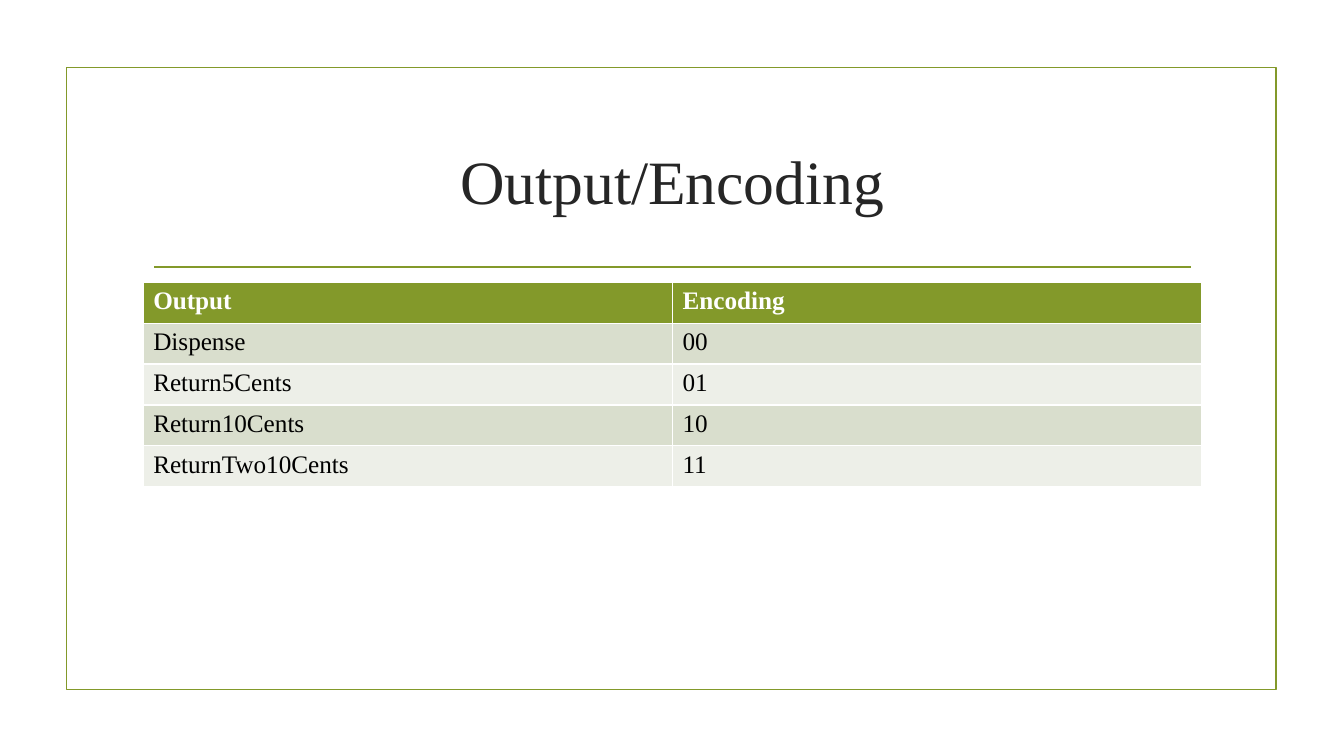
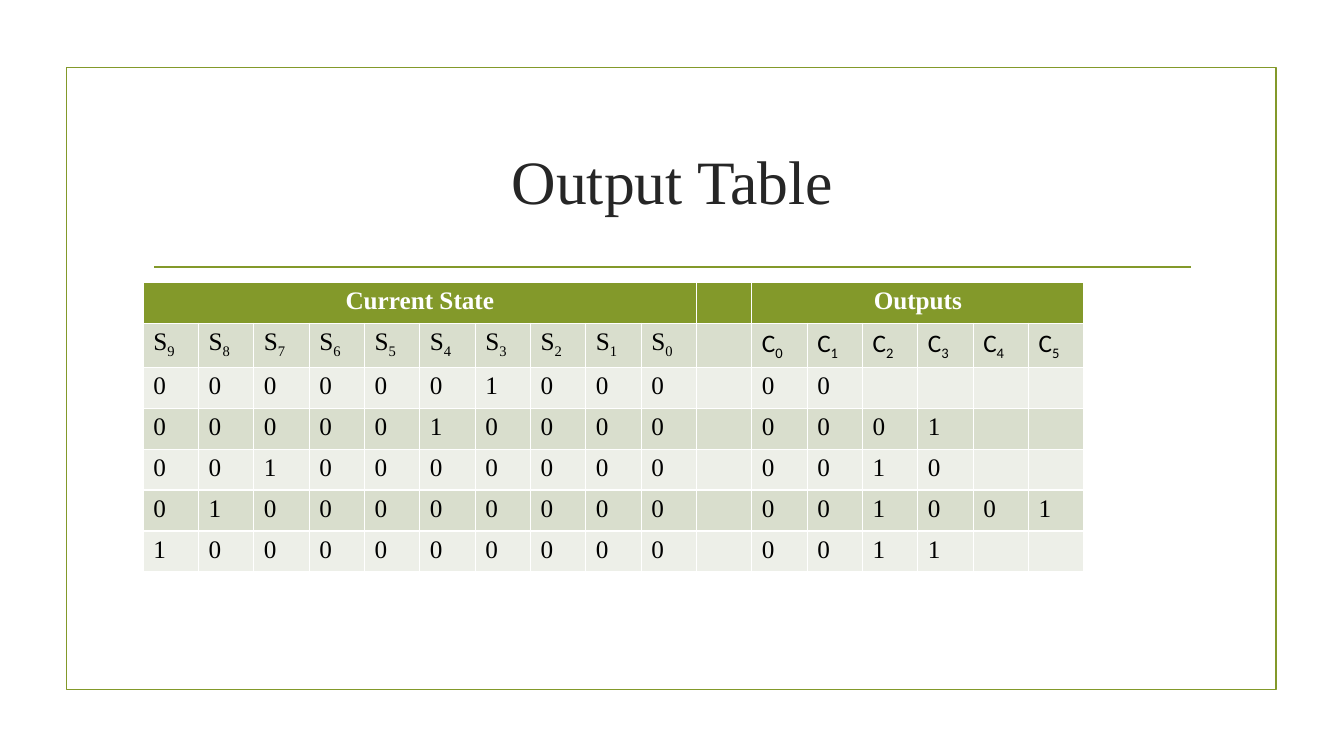
from dataclasses import dataclass

from lxml import etree
from pptx import Presentation
from pptx.dml.color import RGBColor
from pptx.enum.shapes import MSO_CONNECTOR, MSO_SHAPE
from pptx.enum.text import MSO_ANCHOR, PP_ALIGN
from pptx.oxml.ns import qn
from pptx.util import Inches, Pt

LEFT, CENTER = PP_ALIGN.LEFT, PP_ALIGN.CENTER
MIDDLE = MSO_ANCHOR.MIDDLE
RECTANGLE = MSO_SHAPE.RECTANGLE
STRAIGHT = MSO_CONNECTOR.STRAIGHT
TITLE_ONLY = 5

# Content
ENCODING_TITLE = "Output/Encoding"
ENCODING_ROWS = [
    ("Output", "Encoding"),
    ("Dispense", "00"),
    ("Return5Cents", "01"),
    ("Return10Cents", "10"),
    ("ReturnTwo10Cents", "11"),
]

STATE_TITLE = "Output Table"
STATE_COUNT, OUTPUT_COUNT = 10, 6
# Current state bits, then the outputs that are set
STATE_ROWS = [
    ("0000001000", "00"),
    ("0000010000", "0001"),
    ("0010000000", "0010"),
    ("0100000000", "001001"),
    ("1000000000", "0011"),
]


@dataclass(frozen=True)
class Theme:
    green: RGBColor = RGBColor(0x83, 0x99, 0x2A)
    title_ink: RGBColor = RGBColor(0x26, 0x26, 0x26)
    body_ink: RGBColor = RGBColor(0, 0, 0)
    header_ink: RGBColor = RGBColor(0xFF, 0xFF, 0xFF)
    bands: tuple = (RGBColor(0xD9, 0xDE, 0xCD), RGBColor(0xED, 0xEF, 0xE8))
    serif: str = "Times New Roman"
    sans: str = "Calibri"
    title_size: Pt = Pt(44)
    table_size: Pt = Pt(18)
    line_width: Pt = Pt(1.25)


THEME = Theme()
MARGIN, CONTENT_WIDTH = Inches(1.42), Inches(10.5)
TABLE_TOP = Inches(2.8)


def style_font(font, name, size, color, bold=False):
    font.name, font.size, font.bold = name, size, bold
    font.color.rgb = color


def style_line(line):
    line.color.rgb = THEME.green
    line.width = THEME.line_width


def add_titled_slide(deck, title_text):
    """Slide with the green frame, the title and the rule below it."""
    slide = deck.slides.add_slide(deck.slide_layouts[TITLE_ONLY])

    frame = slide.shapes.add_shape(
        RECTANGLE, Inches(0.66), Inches(0.67), Inches(12), Inches(6.17))
    frame.shadow.inherit = False
    frame.fill.background()
    style_line(frame.line)

    rule = slide.shapes.add_connector(
        STRAIGHT, Inches(1.53), Inches(2.65), Inches(11.81), Inches(2.65))
    style_line(rule.line)
    etree.SubElement(rule._element.spPr, qn("a:effectLst"))

    title = slide.shapes.title
    title.left, title.top = MARGIN, Inches(1.07)
    title.width, title.height = CONTENT_WIDTH, Inches(1.43)
    title.text_frame.text = title_text
    title.text_frame.vertical_anchor = MIDDLE
    heading = title.text_frame.paragraphs[0]
    heading.alignment = CENTER
    style_font(heading.font, THEME.serif, THEME.title_size, THEME.title_ink)
    return slide


def add_banded_table(slide, row_count, column_count, width, height):
    """Table with a green header row and alternating body rows."""
    table = slide.shapes.add_table(
        row_count, column_count, MARGIN, TABLE_TOP, width, height).table
    for column in table.columns:
        column.width = width // column_count
    for index, row in enumerate(table.rows):
        row.height = height // row_count
        for cell in row.cells:
            cell.fill.solid()
            cell.fill.fore_color.rgb = (
                THEME.bands[(index - 1) % 2] if index else THEME.green)
    return table


def write_cell(table, row, column, text, subscript="", font=THEME.serif,
               align=LEFT):
    paragraph = table.cell(row, column).text_frame.paragraphs[0]
    paragraph.alignment = align
    header = row == 0
    style_font(paragraph.font, font, THEME.table_size,
               THEME.header_ink if header else THEME.body_ink, header)
    paragraph.add_run().text = text
    if subscript:
        index_run = paragraph.add_run()
        index_run.text = subscript
        index_run._r.get_or_add_rPr().set("baseline", "-25000")


def build_encoding_slide(deck):
    slide = add_titled_slide(deck, ENCODING_TITLE)
    table = add_banded_table(
        slide, len(ENCODING_ROWS), 2, CONTENT_WIDTH, Inches(2.03))
    for row, texts in enumerate(ENCODING_ROWS):
        for column, text in enumerate(texts):
            write_cell(table, row, column, text)


def build_state_slide(deck):
    slide = add_titled_slide(deck, STATE_TITLE)
    first_output = STATE_COUNT + 1  # one empty column separates the groups
    table = add_banded_table(
        slide, len(STATE_ROWS) + 2, first_output + OUTPUT_COUNT,
        Inches(9.33), Inches(2.84))

    # Group headings
    for label, start, count in (("Current State", 0, STATE_COUNT),
                                ("Outputs", first_output, OUTPUT_COUNT)):
        table.cell(0, start).merge(table.cell(0, start + count - 1))
        write_cell(table, 0, start, label, align=CENTER)

    # Signal names
    for column in range(STATE_COUNT):
        write_cell(table, 1, column, "S", str(STATE_COUNT - 1 - column))
    for output in range(OUTPUT_COUNT):
        write_cell(table, 1, first_output + output, "C", str(output),
                   THEME.sans)

    # Bits
    for row, (state, outputs) in enumerate(STATE_ROWS, start=2):
        for start, bits in ((0, state), (first_output, outputs)):
            for column, bit in enumerate(bits, start):
                write_cell(table, row, column, bit)


def main():
    deck = Presentation()
    deck.slide_width, deck.slide_height = Inches(13.33), Inches(7.5)
    build_encoding_slide(deck)
    build_state_slide(deck)
    deck.save("out.pptx")


if __name__ == "__main__":
    main()
